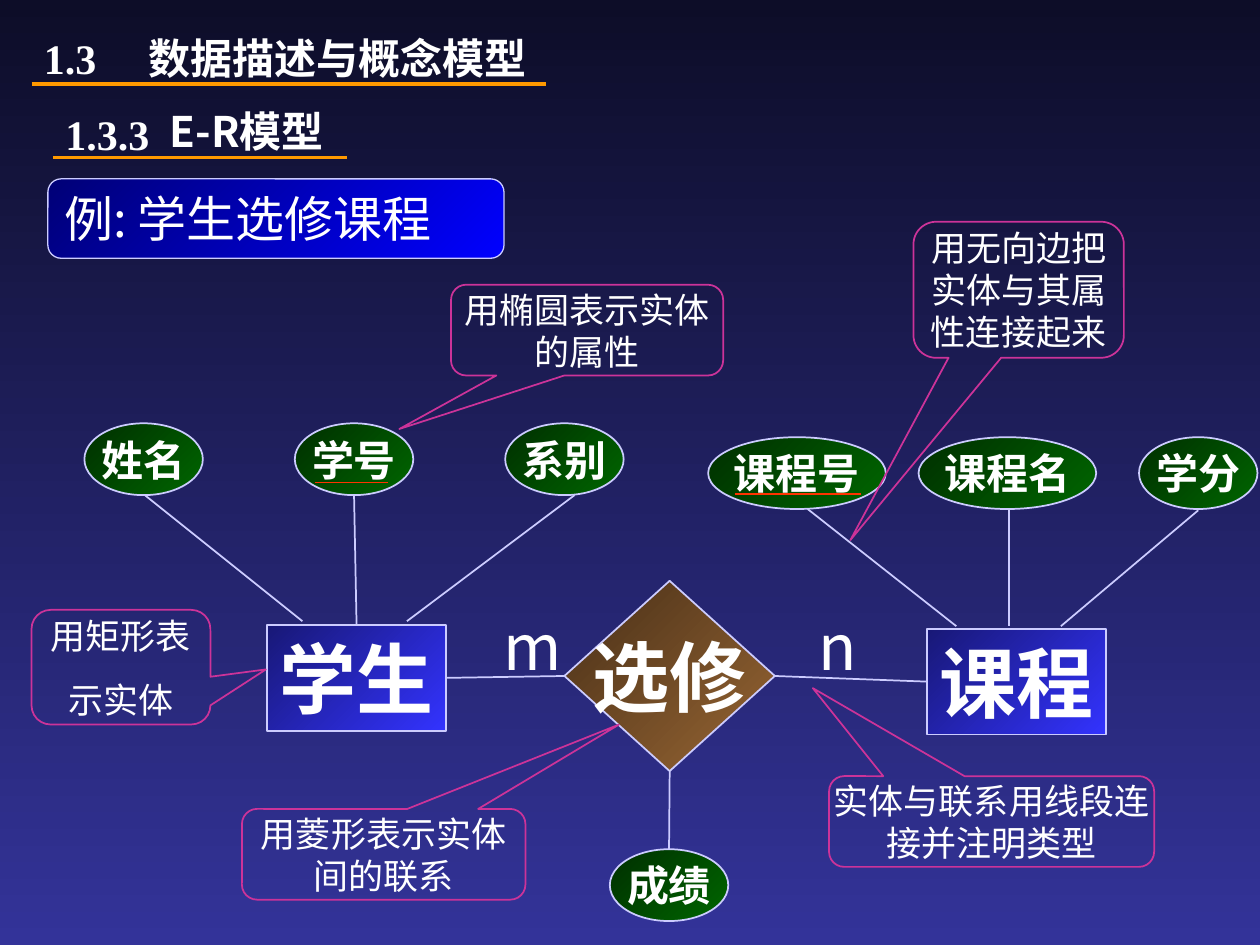
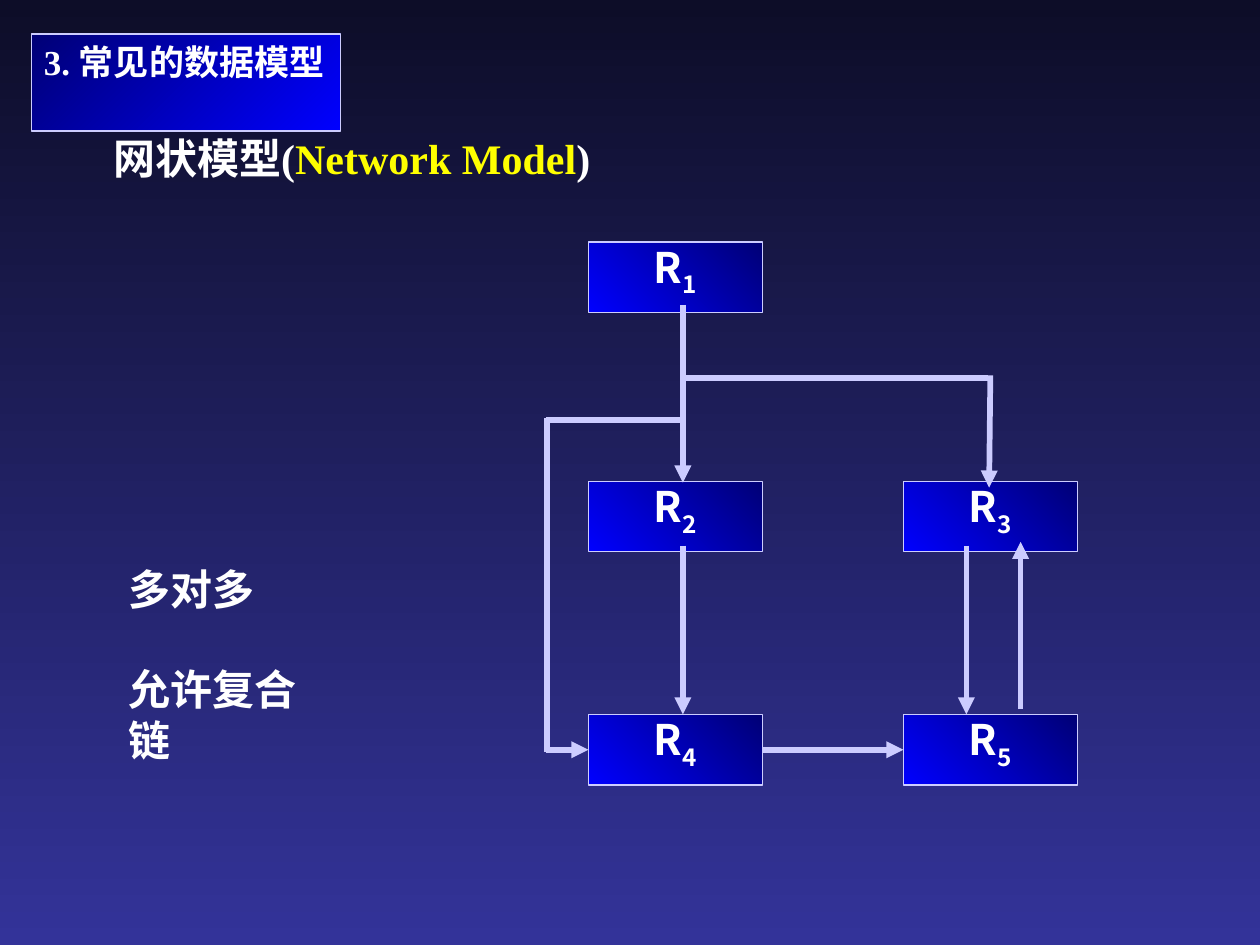
"""Build two slides on the E-R model and the network data model."""
from pptx import Presentation
from pptx.dml.color import RGBColor
from pptx.enum.shapes import MSO_CONNECTOR, MSO_SHAPE
from pptx.enum.text import MSO_ANCHOR, PP_ALIGN
from pptx.oxml.ns import qn
from pptx.util import Inches, Pt
from lxml.etree import SubElement

WHITE = RGBColor(0xFF, 0xFF, 0xFF)
YELLOW = RGBColor(0xFF, 0xFF, 0x00)
LILAC = RGBColor(0xCC, 0xCC, 0xFF)
ORANGE = RGBColor(0xFF, 0x99, 0x00)
RED = RGBColor(0xFF, 0x33, 0x00)
PINK = RGBColor(0xCC, 0x33, 0x99)
NAVY = RGBColor(0x00, 0x00, 0x76)
BLUE = RGBColor(0x00, 0x00, 0xFF)
BACK_FILL = (RGBColor(0x0D, 0x0D, 0x28), RGBColor(0x33, 0x33, 0x99), 270)
TITLE_FILL = (NAVY, BLUE, 315)
RECORD_FILL = (BLUE, NAVY, 45)
ENTITY_FILL = (RGBColor(0x18, 0x18, 0x76), RGBColor(0x33, 0x33, 0xFF), 315)
RELATION_FILL = (RGBColor(0x47, 0x2F, 0x18), RGBColor(0x99, 0x66, 0x33), 315)
ATTRIBUTE_FILL = (RGBColor(0x00, 0x2F, 0x00), RGBColor(0x00, 0x66, 0x00), 315)

SERIF = "Times New Roman"
SANS = "Noto Sans CJK SC"
SANS_JP = "Noto Sans CJK JP"

ENTITIES = [("学生", 2.12, 4.96), ("课程", 7.36, 4.99)]
ATTRIBUTES = [
    ("姓名", 0.67, 3.36), ("学号", 2.34, 3.36), ("系别", 4.01, 3.36),
    ("课程号", 5.62, 3.47), ("课程名", 7.29, 3.47), ("学分", 9.04, 3.47),
    ("成绩", 4.84, 6.74),
]
CALLOUTS = [
    (["用矩形表", "示实体"], (0.25, 4.84, 1.42, 0.91), (0.81, 0.02)),
    (["用椭圆表示实体的属性"], (3.58, 2.26, 2.16, 0.72), (-0.69, 1.09)),
    (["用无向边把实体与其属性连接起来"], (7.25, 1.76, 1.67, 1.08), (-0.8, 1.84)),
    (["用菱形表示实体间的联系"], (1.92, 6.42, 2.25, 0.72), (0.83, -1.43)),
    (["实体与联系用线段连接并注明类型"], (6.58, 6.16, 2.58, 0.72), (-0.55, -1.47)),
]
CARDINALITIES = [("m", 3.9), ("n", 6.4)]
ATTRIBUTE_LINES = [
    (1.15, 3.93, 2.4, 4.93), (4.56, 3.93, 3.23, 4.93),
    (6.41, 4.04, 7.59, 4.97), (8.01, 4.05, 8.01, 4.97), (9.51, 4.05, 8.42, 4.97),
]
KEY_LINES = [(2.5, 3.83, 3.08, 3.83), (5.83, 3.92, 6.83, 3.92)]

RECORD_COLS = (4.67, 7.17)
RECORD_ROWS = (1.92, 3.82, 5.67)
RECORDS = {"1": (0, 0), "2": (0, 1), "3": (1, 1), "4": (0, 2), "5": (1, 2)}
RECORD_SIZE = (1.38, 0.56)
PLAIN_LINKS = [
    (5.42, 3.33, 4.33, 3.33, 3.5), (4.34, 3.32, 4.34, 5.97, 3.5),
    (5.42, 3, 7.84, 3, 3),
]
ARROWS = [
    (7.86, 2.98, 7.85, 3.87), (5.42, 4.33, 5.42, 5.67), (5.42, 2.42, 5.42, 3.83),
    (7.67, 4.33, 7.67, 5.67), (8.1, 5.63, 8.1, 4.3),
]
ARROW_WIDTH = 3.25


def set_gradient(fill, start, end, angle):
    fill.gradient()
    fill.gradient_angle = angle
    for stop, color in zip(fill.gradient_stops, (start, end)):
        stop.color.rgb = color


def write(sp, paragraphs, size, font=SANS, bold=False, align=PP_ALIGN.LEFT,
          anchor=MSO_ANCHOR.TOP, wrap=True, margin=None, fixed=False, gap=0, tab=None):
    """Fill a shape with paragraphs; each is a string or a list of (text, options)."""
    tf = sp.text_frame
    tf.word_wrap = wrap
    tf.vertical_anchor = anchor
    if margin is not None:
        tf.margin_left = tf.margin_right = tf.margin_top = tf.margin_bottom = Inches(margin)
    for i, runs in enumerate(paragraphs):
        p = tf.add_paragraph() if i else tf.paragraphs[0]
        p.alignment = align
        if fixed:
            p.line_spacing = Pt(size * 1.2)
        if i:
            p.space_before = Pt(gap)
        if tab:
            tabs = SubElement(p._p.get_or_add_pPr(), qn("a:tabLst"))
            SubElement(tabs, qn("a:tab"), pos=str(Inches(tab)), algn="l")
        for text, options in [(runs, {})] if isinstance(runs, str) else runs:
            r = p.add_run()
            r.text = text
            r.font.size = Pt(size)
            r.font.bold = bold
            r.font.name = font
            r.font.color.rgb = options.get("color", WHITE)
            rPr = r._r.get_or_add_rPr()
            SubElement(rPr, qn("a:ea"), typeface=SANS if font == SERIF else font)
            if options.get("sub"):
                rPr.set("baseline", "-25000")


def add_box(s, kind, box, fill=None, line=LILAC, width=1):
    sp = s.shapes.add_shape(kind, *map(Inches, box))
    sp.shadow.inherit = False
    if fill:
        set_gradient(sp.fill, *fill)
    else:
        sp.fill.background()
    sp.line.color.rgb = line
    sp.line.width = Pt(width)
    return sp


def add_text(s, box, paragraphs, size, **style):
    write(s.shapes.add_textbox(*map(Inches, box)), paragraphs, size, **style)


def add_line(s, ends=(0, 0, 0, 0), color=LILAC, width=1, arrow=False, begin=None, end=None):
    c = s.shapes.add_connector(MSO_CONNECTOR.STRAIGHT, *map(Inches, ends))
    if begin:
        c.begin_connect(*begin)
    if end:
        c.end_connect(*end)
    c.line.color.rgb = color
    c.line.width = Pt(width)
    spPr = c._element.spPr
    if arrow:
        SubElement(spPr.find(qn("a:ln")), qn("a:tailEnd"), type="triangle")
    SubElement(spPr, qn("a:effectLst"))


def add_slide(prs):
    s = prs.slides.add_slide(prs.slide_layouts[6])
    set_gradient(s.background.fill, *BACK_FILL)
    return s


def build_er_model(prs):
    s = add_slide(prs)
    node = dict(font=SANS_JP, align=PP_ALIGN.CENTER, anchor=MSO_ANCHOR.MIDDLE, wrap=False)
    sp = add_box(s, MSO_SHAPE.ROUNDED_RECTANGLE, (0.38, 1.42, 3.62, 0.63), TITLE_FILL, width=0.75)
    write(sp, ["例: 学生选修课程"], 28)

    nodes = {}
    for name, x, y in ENTITIES:
        nodes[name] = add_box(s, MSO_SHAPE.RECTANGLE, (x, y, 1.42, 0.84), ENTITY_FILL)
        write(nodes[name], [name], 44, bold=True, **node)
    relation = add_box(s, MSO_SHAPE.DIAMOND, (4.48, 4.61, 1.67, 1.51), RELATION_FILL)
    write(relation, ["选修"], 44, bold=True, **node)
    for name, x, y in ATTRIBUTES:
        width = 0.47 * len(name)
        nodes[name] = add_box(s, MSO_SHAPE.OVAL, (x, y, width, 0.57), ATTRIBUTE_FILL)
        write(nodes[name], [name], 24, bold=True, margin=0, **node)
    for paragraphs, box, tip in CALLOUTS:
        sp = add_box(s, MSO_SHAPE.ROUNDED_RECTANGULAR_CALLOUT, box, line=PINK)
        sp.adjustments[0], sp.adjustments[1] = tip
        write(sp, paragraphs, 20, align=PP_ALIGN.CENTER, anchor=MSO_ANCHOR.MIDDLE,
              margin=0, fixed=True, gap=12.5)

    student, course = nodes["学生"], nodes["课程"]
    add_line(s, begin=(student, 3), end=(relation, 1))
    add_line(s, begin=(relation, 3), end=(course, 1))
    add_line(s, begin=(relation, 2), end=(nodes["成绩"], 0))
    add_line(s, (2.81, 3.93, 2.81, 4.93), end=(student, 0))
    for ends in ATTRIBUTE_LINES:
        add_line(s, ends)
    for ends in KEY_LINES:
        add_line(s, ends, RED, 0.75)
    for label, x in CARDINALITIES:
        add_text(s, (x, 4.96, 0.33, 0.33), [label], 36, **node)

    add_text(s, (0.25, 0.21, 4.42, 0.5), ["1.3\t数据描述与概念模型"], 24,
             font=SERIF, bold=True, fixed=True, tab=0.83)
    add_line(s, (0.25, 0.67, 4.33, 0.67), ORANGE, 2.25)
    add_text(s, (0.42, 0.81, 3.33, 0.5), ["1.3.3"], 24, font=SERIF, bold=True)
    add_line(s, (0.42, 1.25, 2.75, 1.25), ORANGE, 2.25)
    add_text(s, (1.25, 0.83, 2.25, 0.42), ["E-R模型"], 24, bold=True, anchor=MSO_ANCHOR.MIDDLE)


def build_network_model(prs):
    s = add_slide(prs)
    heading = dict(font=SERIF, bold=True, fixed=True)
    sp = add_box(s, MSO_SHAPE.RECTANGLE, (0.25, 0.27, 2.45, 0.77), TITLE_FILL, width=0.75)
    write(sp, ["3. 常见的数据模型"], 20, **heading)
    add_text(s, (0.8, 1, 4.06, 0.5),
             [[("网状模型(", {}), ("Network Model", {"color": YELLOW}), (")", {})]], 24, **heading)
    add_text(s, (0.92, 4.42, 1.86, 1.3), ["多对多", "允许复合链"], 24, gap=28.8, **heading)

    records = {}
    for number, (col, row) in RECORDS.items():
        box = (RECORD_COLS[col], RECORD_ROWS[row], *RECORD_SIZE)
        records[number] = add_box(s, MSO_SHAPE.RECTANGLE, box, RECORD_FILL, width=0.75)
        write(records[number], [[("R", {}), (number, {"sub": True})]], 24,
              bold=True, align=PP_ALIGN.CENTER, fixed=True)

    for *ends, width in PLAIN_LINKS:
        add_line(s, ends, width=width)
    for ends in ARROWS:
        add_line(s, ends, width=ARROW_WIDTH, arrow=True)
    add_line(s, (4.33, 5.95, 4.67, 5.95), width=ARROW_WIDTH, arrow=True, end=(records["4"], 1))
    add_line(s, width=ARROW_WIDTH, arrow=True, begin=(records["4"], 3), end=(records["5"], 1))


def main():
    prs = Presentation()
    prs.slide_width, prs.slide_height = Inches(10), Inches(7.5)
    build_er_model(prs)
    build_network_model(prs)
    prs.save("out.pptx")


if __name__ == "__main__":
    main()
